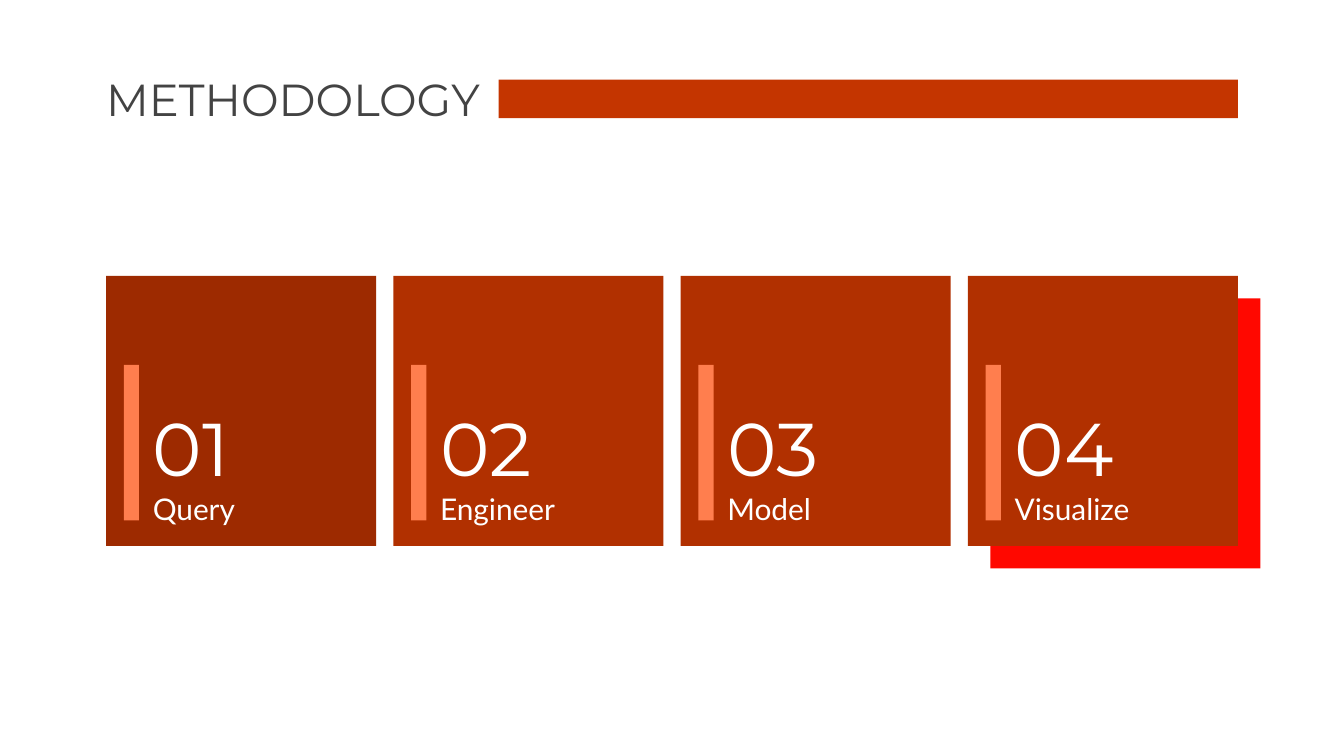
from dataclasses import dataclass

from pptx import Presentation
from pptx.dml.color import RGBColor
from pptx.enum.shapes import MSO_SHAPE
from pptx.enum.text import MSO_ANCHOR, PP_ALIGN
from pptx.util import Pt


@dataclass(frozen=True)
class Theme:
    """Colours, fonts and type sizes of the slide."""

    title: str = "434343"
    white: str = "FFFFFF"
    banner: str = "C43500"
    first_card: str = "9D2A00"
    card: str = "B13000"
    accent: str = "FF7E4E"
    offset: str = "FF0800"
    heading_font: str = "Montserrat"
    body_font: str = "Lato"
    title_size: int = 24
    number_size: int = 40
    label_size: int = 16


THEME = Theme()
STEPS = ["Query", "Engineer", "Model", "Visualize"]
CARD_LEFT, CARD_TOP, CARD_SIZE, CARD_PITCH = 56.8, 147.8, 144.7, 153.9
OFFSET = 12


def add_block(slide, left, top, width, height, color):
    """Add a plain filled rectangle."""
    shape = slide.shapes.add_shape(
        MSO_SHAPE.RECTANGLE, Pt(left), Pt(top), Pt(width), Pt(height)
    )
    shape.shadow.inherit = False
    shape.fill.solid()
    shape.fill.fore_color.rgb = RGBColor.from_string(color)
    shape.line.fill.background()


def write_text(shape, text, *, font, size, color, anchor=MSO_ANCHOR.MIDDLE, space_after=0):
    """Fill a shape with one formatted left-aligned paragraph."""
    frame = shape.text_frame
    frame.word_wrap = True
    frame.vertical_anchor = anchor
    frame.margin_left = frame.margin_right = Pt(7.2)
    frame.margin_top = frame.margin_bottom = Pt(7.2)
    frame.text = text
    paragraph = frame.paragraphs[0]
    paragraph.alignment = PP_ALIGN.LEFT
    paragraph.line_spacing = 1.0
    paragraph.space_before = Pt(0)
    paragraph.space_after = Pt(space_after)
    paragraph.font.name = font
    paragraph.font.size = Pt(size)
    paragraph.font.color.rgb = RGBColor.from_string(color)


def add_title(slide, text):
    """Place the slide title and the banner beside it."""
    title = slide.shapes.title
    title.left, title.top, title.width, title.height = Pt(49.7), Pt(31.9), Pt(624), Pt(41.8)
    write_text(title, text, font=THEME.heading_font, size=THEME.title_size, color=THEME.title)
    add_block(slide, 267.2, 42.7, 396, 20.6, THEME.banner)


def add_step(slide, index, label):
    """Add one numbered step card."""
    left = CARD_LEFT + index * CARD_PITCH
    if index == len(STEPS) - 1:
        add_block(slide, left + OFFSET, CARD_TOP + OFFSET, CARD_SIZE, CARD_SIZE, THEME.offset)
    color = THEME.card if index else THEME.first_card
    add_block(slide, left, CARD_TOP, CARD_SIZE, CARD_SIZE, color)
    add_block(slide, left + 9.6, CARD_TOP + 47.7, 8.1, 83.3, THEME.accent)

    text_left = Pt(left + 18)
    number = slide.shapes.add_textbox(text_left, Pt(211), Pt(118.8), Pt(56.2))
    write_text(number, f"{index + 1:02}", font=THEME.heading_font,
               size=THEME.number_size, color=THEME.white)
    caption = slide.shapes.add_textbox(text_left, Pt(255.6), Pt(123.8), Pt(37.4))
    write_text(caption, label, font=THEME.body_font, size=THEME.label_size,
               color=THEME.white, anchor=MSO_ANCHOR.TOP, space_after=16)


def main():
    """Build and save the methodology slide."""
    presentation = Presentation()
    presentation.slide_width, presentation.slide_height = Pt(720), Pt(405)
    slide = presentation.slides.add_slide(presentation.slide_layouts[5])
    add_title(slide, "METHODOLOGY")
    for index, label in enumerate(STEPS):
        add_step(slide, index, label)
    presentation.save("out.pptx")


if __name__ == "__main__":
    main()
